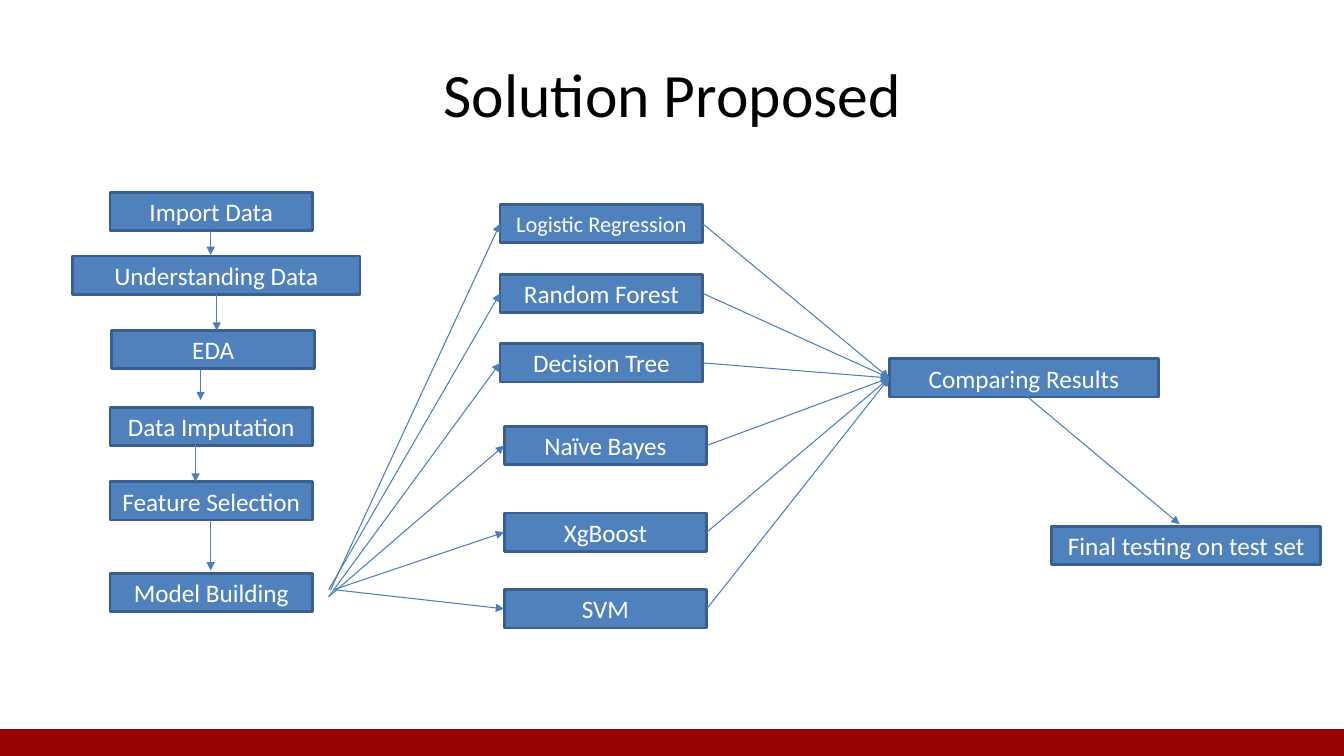
from lxml import etree
from pptx import Presentation
from pptx.dml.color import RGBColor
from pptx.enum.shapes import MSO_CONNECTOR, MSO_SHAPE
from pptx.enum.text import MSO_ANCHOR, PP_ALIGN
from pptx.oxml.ns import qn
from pptx.util import Inches, Pt

RECTANGLE = MSO_SHAPE.RECTANGLE
STRAIGHT = MSO_CONNECTOR.STRAIGHT
MIDDLE = MSO_ANCHOR.MIDDLE
CENTER = PP_ALIGN.CENTER

STEP_HEIGHT = 0.38
STEP_WIDTH = 2.01
RESULT_WIDTH = 2.67


def color(value):
    return RGBColor.from_string(value)


def write(frame, text, size=18, fill="FFFFFF", font="Calibri"):
    frame.word_wrap = True
    frame.vertical_anchor = MIDDLE
    paragraph = frame.paragraphs[0]
    paragraph.alignment = CENTER
    run = paragraph.add_run()
    run.text = text
    run.font.name = font
    run.font.size = Pt(size)
    run.font.color.rgb = color(fill)


class FlowSlide:
    step_fill = "4F81BD"
    step_border = "3A5F8C"
    arrow_color = "4B7EBC"
    footer_color = "970303"

    def __init__(self, slide):
        self.shapes = slide.shapes

    def title(self, text):
        heading = self.shapes.add_textbox(Inches(0.67), Inches(0.3), Inches(12), Inches(1.25))
        write(heading.text_frame, text, size=44, fill="000000")

    def bar(self, left, top, width, height, fill, border):
        bar = self.shapes.add_shape(
            RECTANGLE, Inches(left), Inches(top), Inches(width), Inches(height)
        )
        bar.shadow.inherit = False
        bar.fill.solid()
        bar.fill.fore_color.rgb = color(fill)
        bar.line.color.rgb = color(border)
        bar.line.width = Pt(2)
        return bar

    def footer(self):
        self.bar(0, 7.25, 13.33, 0.25, self.footer_color, self.footer_color)

    def step(self, text, left, top, width=STEP_WIDTH, size=18):
        step = self.bar(left, top, width, STEP_HEIGHT, self.step_fill, self.step_border)
        write(step.text_frame, text, size=size)

    def arrow(self, start, end):
        arrow = self.shapes.add_connector(STRAIGHT, *(Inches(v) for v in (*start, *end)))
        arrow.line.color.rgb = color(self.arrow_color)
        arrow.line.width = Pt(0.75)
        properties = arrow._element.spPr
        etree.SubElement(properties.find(qn("a:ln")), qn("a:tailEnd"), type="triangle")
        etree.SubElement(properties, qn("a:effectLst"))


def main():
    presentation = Presentation()
    presentation.slide_width = Inches(13.33)
    presentation.slide_height = Inches(7.5)
    flow = FlowSlide(presentation.slides.add_slide(presentation.slide_layouts[6]))

    flow.footer()
    flow.title("Solution Proposed")

    preparation = [
        ("Import Data", 1.09, 1.91, STEP_WIDTH),
        ("Understanding Data", 0.72, 2.54, 2.85),
        ("EDA", 1.11, 3.28, STEP_WIDTH),
        ("Data Imputation", 1.09, 4.04, STEP_WIDTH),
        ("Feature Selection", 1.09, 4.78, STEP_WIDTH),
        ("Model Building", 1.09, 5.69, STEP_WIDTH),
    ]
    for name, left, top, width in preparation:
        flow.step(name, left, top, width)

    flow.step("Comparing Results", 8.82, 3.56, RESULT_WIDTH)
    flow.step("Final testing on test set", 10.43, 5.22, RESULT_WIDTH)

    preparation_arrows = [
        (2.09, 2.29, 2.53),
        (2.15, 2.92, 3.28),
        (1.99, 3.67, 3.97),
        (1.94, 4.41, 4.78),
        (2.09, 5.16, 5.66),
    ]
    for x, top, bottom in preparation_arrows:
        flow.arrow((x, top), (x, bottom))

    models = [
        ("Logistic Regression", 4.96, 2.03, 16, (3.28, 5.85)),
        ("Random Forest", 4.96, 2.72, 18, (3.26, 5.85)),
        ("Decision Tree", 4.96, 3.41, 18, (3.26, 5.92)),
        ("Naïve Bayes", 5, 4.23, 18, (3.26, 5.92)),
        ("XgBoost", 5, 5.09, 18, (3.31, 5.85)),
        ("SVM", 5, 5.85, 18, (3.31, 5.85)),
    ]
    for name, left, top, size, origin in models:
        middle = top + STEP_HEIGHT / 2
        flow.step(name, left, top, size=size)
        flow.arrow(origin, (left, middle))
        flow.arrow((left + STEP_WIDTH, middle), (8.82, 3.75))

    flow.arrow((9.86, 3.66), (11.7, 5.2))
    presentation.save("out.pptx")


if __name__ == "__main__":
    main()
